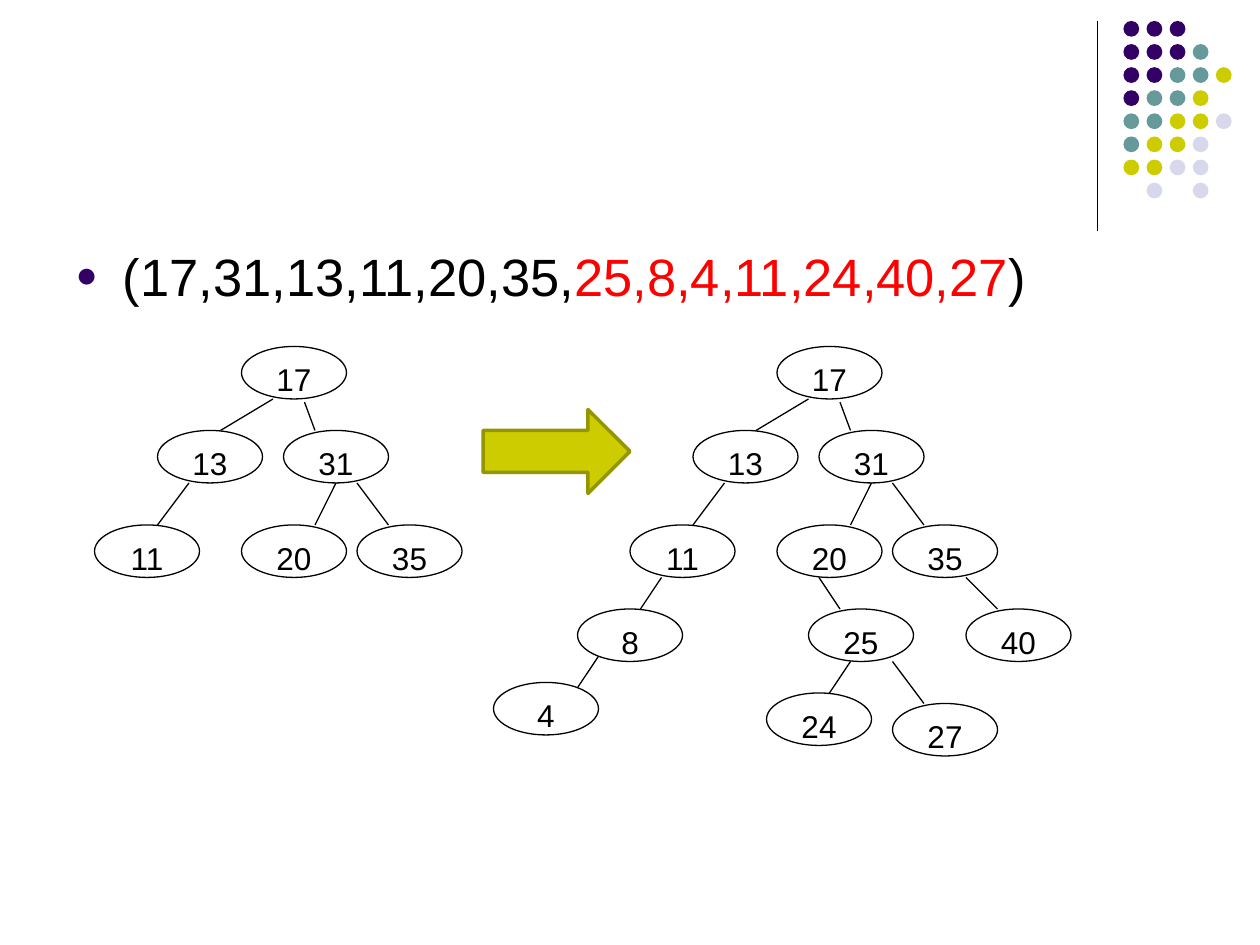
from lxml import etree
from pptx import Presentation
from pptx import util as u
from pptx.dml.color import RGBColor
from pptx.enum import shapes, text
from pptx.oxml import ns

# Content; all lengths in px, 120 to the inch
COLORS = {"black": "000000", "white": "FFFFFF", "red": "FF0000",
          "purple": "330066", "teal": "669999", "lime": "CCCC00",
          "lilac": "D8D8EC", "olive": "959500"}
FONT = "Arial"
SEQUENCE = [("(17,31,13,11,20,35,", "black"),
            ("25,8,4,11,24,40,27", "red"), (")", "black")]
DOT_ROWS = ["PPP", "PPPT", "PPTTY", "PTTY", "TTYYL", "TYYL", "YYLL", " L L"]
DOT_COLORS = {"P": "purple", "T": "teal", "Y": "lime", "L": "lilac"}
DOT_LEFT, DOT_TOP, DOT_STEP, DOT_SIZE = 1070, 20, 22, 15

# Nodes are (label, left, top); edges run from child to parent
NODE_WIDTH, NODE_HEIGHT = 100, 50
START_NODES = [("17", 230, 330), ("31", 270, 410), ("13", 150, 410),
               ("11", 90, 500), ("20", 230, 500), ("35", 340, 500)]
START_EDGES = [(300, 410, 290, 383), (210, 410, 260, 380),
               (150, 500, 180, 460), (300, 500, 320, 460),
               (370, 500, 340, 460)]
ADDED_NODES = [("8", 40, 580), ("25", 260, 580), ("40", 410, 580),
               ("4", -40, 650), ("24", 220, 660), ("27", 340, 670)]
ADDED_EDGES = [(100, 580, 120, 550), (270, 550, 290, 580),
               (440, 580, 410, 550), (40, 655, 60, 625),
               (280, 660, 300, 630), (370, 670, 340, 630)]
TREES = [(0, START_NODES, START_EDGES),
         (510, START_NODES + ADDED_NODES, START_EDGES + ADDED_EDGES)]


def px(value):
    return u.Emu(value * 7620)


def color(name):
    return RGBColor.from_string(COLORS[name])


def add_preset(parent, kind, left, top, width, height, fill, line=None, points=0.75):
    shape = parent.add_shape(kind, px(left), px(top), px(width), px(height))
    shape.shadow.inherit = False
    shape.fill.solid()
    shape.fill.fore_color.rgb = color(fill)
    if line:
        shape.line.color.rgb = color(line)
        shape.line.width = u.Pt(points)
    else:
        shape.line.fill.background()
    return shape


def add_line(parent, x1, y1, x2, y2):
    line = parent.add_connector(shapes.MSO_CONNECTOR.STRAIGHT,
                                px(x1), px(y1), px(x2), px(y2))
    line.line.color.rgb = color("black")
    line.line.width = u.Pt(0.75)
    etree.SubElement(line._element.spPr, ns.qn("a:effectLst"))


def add_run(paragraph, words, size, name):
    run = paragraph.add_run()
    run.text = words
    run.font.name = FONT
    run.font.size = u.Pt(size)
    run.font.color.rgb = color(name)


def add_node(parent, label, left, top):
    node = add_preset(parent, shapes.MSO_SHAPE.OVAL, left, top,
                      NODE_WIDTH, NODE_HEIGHT, "white", "black")
    frame = node.text_frame
    frame.vertical_anchor = text.MSO_ANCHOR.TOP
    paragraph = frame.paragraphs[0]
    paragraph.alignment = text.PP_ALIGN.CENTER
    add_run(paragraph, label, 18, "black")


def set_bullet(paragraph, character, name, percent, indent):
    properties = paragraph._p.get_or_add_pPr()
    properties.set("marL", str(px(indent)))
    properties.set("indent", str(-px(indent)))
    bullet_color = etree.SubElement(properties, ns.qn("a:buClr"))
    etree.SubElement(bullet_color, ns.qn("a:srgbClr"), val=COLORS[name])
    etree.SubElement(properties, ns.qn("a:buSzPct"), val=str(percent * 1000))
    etree.SubElement(properties, ns.qn("a:buFont"), typeface=FONT)
    etree.SubElement(properties, ns.qn("a:buChar"), char=character)


presentation = Presentation()
presentation.slide_width, presentation.slide_height = px(1200), px(900)
slide = presentation.slides.add_slide(presentation.slide_layouts[1])
title = slide.shapes.title._element
title.getparent().remove(title)

# Corner ornament
add_line(slide.shapes, 1045, 20, 1045, 220)
dots = slide.shapes.add_group_shape().shapes
for row, letters in enumerate(DOT_ROWS):
    for column, letter in enumerate(letters):
        if letter in DOT_COLORS:
            add_preset(dots, shapes.MSO_SHAPE.OVAL,
                       DOT_LEFT + column * DOT_STEP, DOT_TOP + row * DOT_STEP,
                       DOT_SIZE, DOT_SIZE, DOT_COLORS[letter])

# Key sequence
body = slide.placeholders[1]
body.left, body.top, body.width, body.height = px(60), px(226), px(1080), px(578)
body.text_frame.auto_size = text.MSO_AUTO_SIZE.NONE
sequence = body.text_frame.paragraphs[0]
set_bullet(sequence, "●", "purple", 70, 45)
sequence.space_before = u.Pt(0)
for words, name in SEQUENCE:
    add_run(sequence, words, 30, name)

# Search trees before and after the insertions
for shift, nodes, edges in TREES:
    tree = slide.shapes.add_group_shape().shapes
    for label, left, top in nodes:
        add_node(tree, label, left + shift, top)
    for x1, y1, x2, y2 in edges:
        add_line(tree, x1 + shift, y1, x2 + shift, y2)

# Arrow between the trees
add_preset(slide.shapes, shapes.MSO_SHAPE.RIGHT_ARROW, 460, 390, 140, 80,
           "lime", "olive", 2)

presentation.save("out.pptx")
